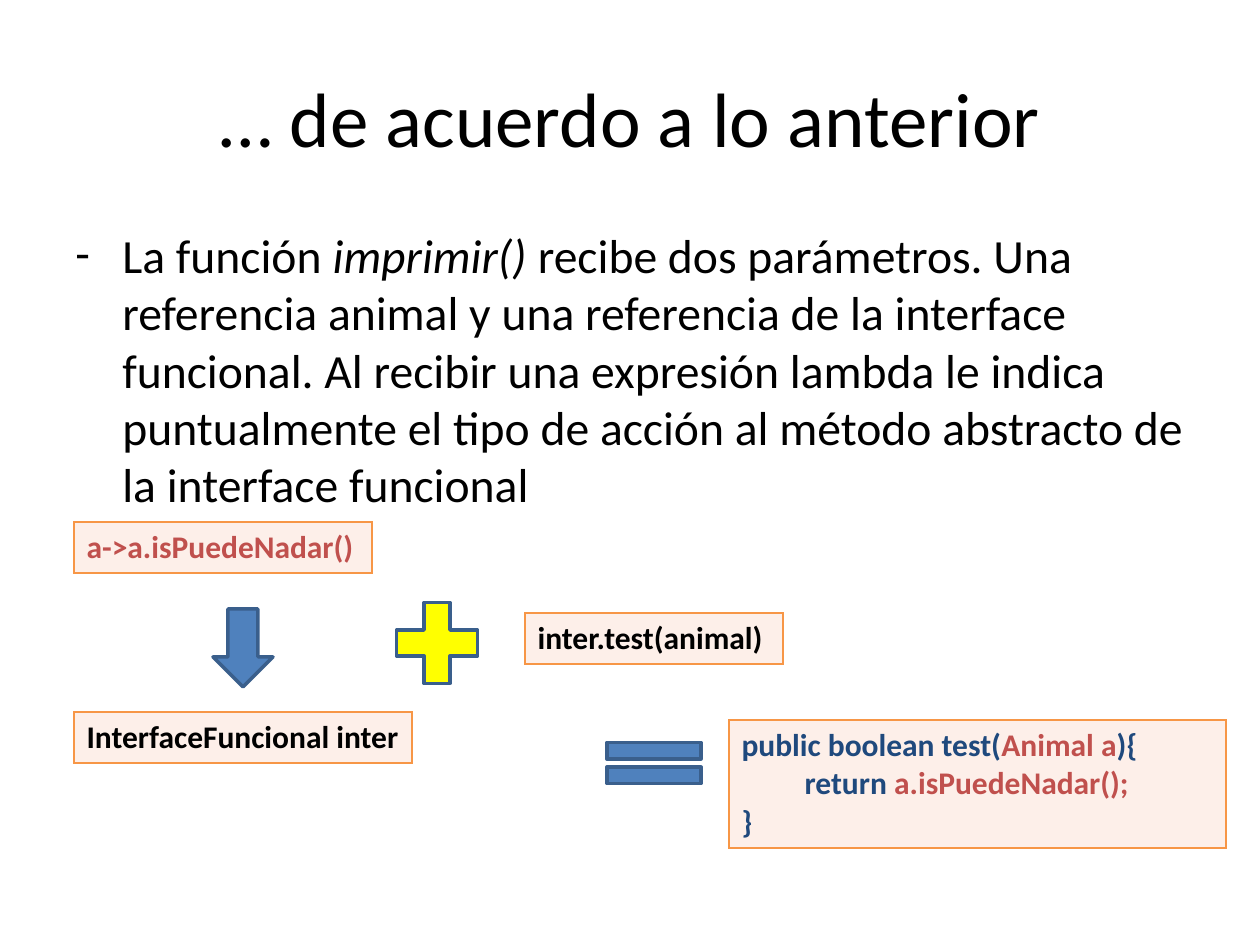
from dataclasses import dataclass
from lxml.etree import SubElement
from pptx import Presentation
from pptx.dml.color import RGBColor
from pptx.enum.shapes import MSO_SHAPE
from pptx.enum.text import MSO_ANCHOR, PP_ALIGN
from pptx.oxml.ns import qn
from pptx.util import Emu, Pt


@dataclass(frozen=True)
class Theme:
    font: str = "Calibri"
    black: str = "000000"
    red: str = "C0504D"
    navy: str = "1F497D"
    blue: str = "4F81BD"
    edge: str = "3A5F8C"
    yellow: str = "FFFF00"
    orange: str = "F79646"
    cream: str = "FDEFE9"
    title: float = 44
    body: float = 27.2
    code: float = 18


def px(*vals):
    return [Emu(round(v * 914400 / 126)) for v in vals]


class Deck:
    """Hold the style and the current slide, and add elements to it."""

    def __init__(self, theme):
        self.theme = theme
        self.prs = Presentation()
        self.prs.slide_width, self.prs.slide_height = px(1260, 945)
        self.slide = self.prs.slides.add_slide(self.prs.slide_layouts[5])

    def run(self, para, text, size, color, bold=False, italic=False):
        run = para.add_run()
        run.text = text
        font = run.font
        font.name, font.size = self.theme.font, Pt(size)
        font.bold, font.italic = bold, italic
        font.color.rgb = RGBColor.from_string(color)

    def title(self, text, box):
        shape = self.slide.shapes.title
        shape.left, shape.top, shape.width, shape.height = px(*box)
        frame = shape.text_frame
        frame.vertical_anchor = MSO_ANCHOR.MIDDLE
        para = frame.paragraphs[0]
        para.alignment = PP_ALIGN.CENTER
        self.run(para, text, self.theme.title, self.theme.black)

    def bullet(self, parts, box, indent):
        frame = self.slide.shapes.add_textbox(*px(*box)).text_frame
        frame.word_wrap = True
        para = frame.paragraphs[0]
        props = para._p.get_or_add_pPr()
        gap = px(indent)[0]
        props.set("marL", str(gap))
        props.set("indent", str(-gap))
        SubElement(props, qn("a:buFont"), typeface=self.theme.font)
        SubElement(props, qn("a:buChar"), char="-")
        for text, italic in parts:
            self.run(para, text, self.theme.body, self.theme.black, italic=italic)

    def code(self, lines, box):
        table = self.slide.shapes.add_table(1, 1, *px(*box)).table
        table.first_row = table.horz_banding = False
        cell = table.cell(0, 0)
        props = cell._tc.get_or_add_tcPr()
        for side in "LRTB":
            line = SubElement(props, qn(f"a:ln{side}"), w=str(Pt(1)))
            fill = SubElement(line, qn("a:solidFill"))
            SubElement(fill, qn("a:srgbClr"), val=self.theme.orange)
        cell.fill.solid()
        cell.fill.fore_color.rgb = RGBColor.from_string(self.theme.cream)
        frame = cell.text_frame
        for num, parts in enumerate(lines):
            para = frame.add_paragraph() if num else frame.paragraphs[0]
            for text, color in parts:
                self.run(para, text, self.theme.code, color, bold=True)

    def sign(self, kind, box, color):
        shape = self.slide.shapes.add_shape(kind, *px(*box))
        shape.shadow.inherit = False
        shape.fill.solid()
        shape.fill.fore_color.rgb = RGBColor.from_string(color)
        shape.line.color.rgb = RGBColor.from_string(self.theme.edge)
        shape.line.width = Pt(2)


def main():
    theme = Theme()
    deck = Deck(theme)
    deck.title("… de acuerdo a lo anterior", (63, 38, 1134, 157))
    deck.bullet([
        ("La función ", False),
        ("imprimir()", True),
        (" recibe dos parámetros. Una referencia animal y una referencia "
         "de la interface funcional. Al recibir una expresión lambda le "
         "indica puntualmente el tipo de acción al método abstracto de la "
         "interface funcional", False),
    ], (63, 220, 1134, 252), 47)
    method = [
        [("public boolean test(", theme.navy), ("Animal a", theme.red),
         ("){", theme.navy)],
        [("\treturn ", theme.navy), ("a.isPuedeNadar();", theme.red)],
        [("}", theme.navy)],
    ]
    for lines, box in (
        ([[("inter.test(animal)", theme.black)]], (525, 613, 258, 51)),
        ([[("a->a.isPuedeNadar()", theme.red)]], (74, 522, 298, 51)),
        (method, (729, 720, 497, 128)),
        ([[("InterfaceFuncional inter", theme.black)]], (74, 712, 338, 51)),
    ):
        deck.code(lines, box)
    for kind, box, color in (
        (MSO_SHAPE.MATH_PLUS, (382, 588, 110, 110), theme.yellow),
        (MSO_SHAPE.MATH_EQUAL, (590, 728, 128, 70), theme.blue),
        (MSO_SHAPE.DOWN_ARROW, (213, 609, 60, 78), theme.blue),
    ):
        deck.sign(kind, box, color)
    deck.prs.save("out.pptx")


main()
